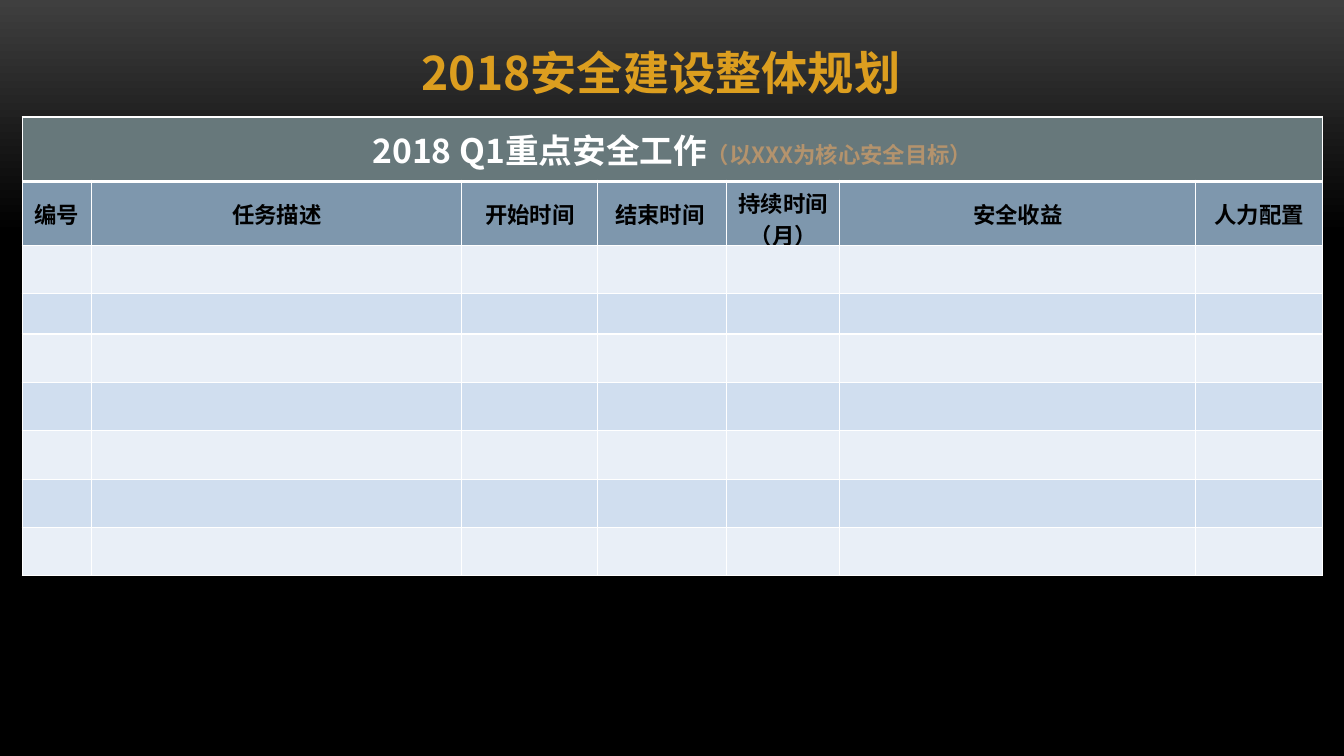
from lxml.etree import SubElement
from pptx import Presentation
from pptx.dml.color import RGBColor
from pptx.enum.text import MSO_ANCHOR, MSO_AUTO_SIZE, PP_ALIGN
from pptx.oxml.ns import qn
from pptx.util import Inches, Pt

FONT = "Noto Sans CJK SC"
GOLD = RGBColor(0xDC, 0x9E, 0x1F)
TAN = RGBColor(0xB4, 0x93, 0x6D)
WHITE = RGBColor(0xFF, 0xFF, 0xFF)
BLACK = RGBColor(0, 0, 0)
CHARCOAL = RGBColor(0x3F, 0x3F, 0x3F)
SLATE = RGBColor(0x67, 0x78, 0x7B)
STEEL = RGBColor(0x7E, 0x97, 0xAD)
BANDS = [RGBColor(0xE9, 0xEF, 0xF7), RGBColor(0xD0, 0xDE, 0xEF)]

COLS = [0.69, 3.67, 1.35, 1.28, 1.12, 3.53, 1.26]
ROWS = [0.64, 0.61, 0.48, 0.39] + [0.48] * 5
HEADERS = ["编号", "任务描述", "开始时间", "结束时间 ", "持续时间（月）", "安全收益", "人力配置"]


def add_text(p, text, size, color):
    """Add a bold run in the slide font to a centred paragraph."""
    p.alignment = PP_ALIGN.CENTER
    r = p.add_run()
    r.text = text
    for name, value in {"size": Pt(size), "bold": True, "name": FONT}.items():
        setattr(r.font, name, value)
    r.font.color.rgb = color
    SubElement(r.font._element, qn("a:ea"), typeface=FONT)


def style_cell(cell, fill, top=1, bottom=1):
    """Give a cell white borders, a solid fill and middle anchoring."""
    tcPr = cell._tc.get_or_add_tcPr()
    for side, width in {"L": 1, "R": 1, "T": top, "B": bottom}.items():
        ln = SubElement(tcPr, qn(f"a:ln{side}"), w=str(Pt(width)))
        SubElement(SubElement(ln, qn("a:solidFill")), qn("a:srgbClr"), val=str(WHITE))
    cell.fill.solid()
    cell.fill.fore_color.rgb = fill
    cell.vertical_anchor = MSO_ANCHOR.MIDDLE


def set_background(s):
    """Fade the background from charcoal at the top to black."""
    fill = s.background.fill
    fill.gradient()
    fill.gradient_angle = 270
    for stop, position, color in zip(fill.gradient_stops, (0, 0.31), (CHARCOAL, BLACK)):
        stop.position = position
        stop.color.rgb = color


def add_title(s, left, top, width, height):
    """Place the slide title in the given box."""
    title = s.shapes.title
    box = {"left": left, "top": top, "width": width, "height": height}
    for name, value in box.items():
        setattr(title, name, Inches(value))
    tf = title.text_frame
    for side in ("left", "top", "right", "bottom"):
        setattr(tf, f"margin_{side}", Inches(0.05))
    tf.word_wrap = True
    tf.auto_size = MSO_AUTO_SIZE.SHAPE_TO_FIT_TEXT
    tf.vertical_anchor = MSO_ANCHOR.TOP
    add_text(tf.paragraphs[0], "2018安全建设整体规划", 33, GOLD)


def add_plan(s, left, top, width, height):
    """Place the quarterly plan table in the given box."""
    box = map(Inches, (left, top, width, height))
    table = s.shapes.add_table(len(ROWS), len(COLS), *box).table
    for col, w in zip(table.columns, COLS):
        col.width = Inches(w)
    for i, (row, h) in enumerate(zip(table.rows, ROWS)):
        row.height = Inches(h)
        fill = (SLATE, STEEL)[i] if i < 2 else BANDS[i % 2]
        for cell in row.cells:
            style_cell(cell, fill, 3 if i == 1 else 1, 3 if i == 0 else 1)
    banner = table.cell(0, 0)
    banner.merge(table.cell(0, len(COLS) - 1))
    p = banner.text_frame.paragraphs[0]
    add_text(p, "2018 Q1重点安全工作", 24, WHITE)
    add_text(p, "（以XXX为核心安全目标）", 16, TAN)
    for j, header in enumerate(HEADERS):
        add_text(table.cell(1, j).text_frame.paragraphs[0], header, 16, BLACK)


def main():
    """Build the planning slide and save it."""
    prs = Presentation()
    prs.slide_width, prs.slide_height = Inches(13.33), Inches(7.5)
    s = prs.slides.add_slide(prs.slide_layouts[5])
    set_background(s)
    add_title(s, 3.84, 0.39, 5.43, 0.66)
    add_plan(s, 0.22, 1.16, 12.88, 4.57)
    prs.save("out.pptx")


if __name__ == "__main__":
    main()
